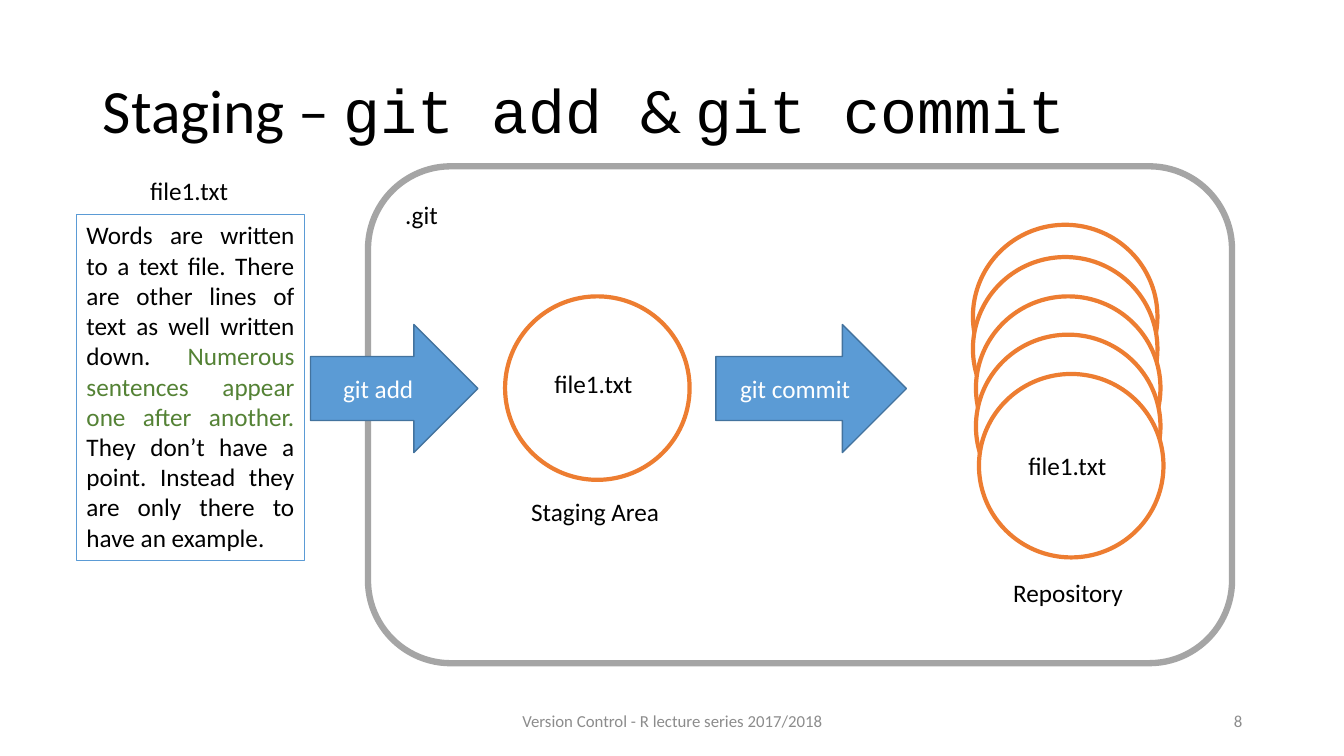
from dataclasses import dataclass

from lxml import etree
from pptx import Presentation, util as u
from pptx.dml.color import RGBColor
from pptx.enum import shapes, text


@dataclass(frozen=True)
class Theme:
    black: str = "000000"
    white: str = "FFFFFF"
    gray: str = "A5A5A5"
    muted: str = "8C8C8C"
    blue: str = "5B9BD5"
    dark_blue: str = "43739E"
    orange: str = "ED7D31"
    green: str = "548235"
    sans: str = "Calibri"
    mono: str = "Courier New"
    title: int = 44
    body: int = 18
    small: int = 12


theme = Theme()
kinds = shapes.MSO_SHAPE
aligns = text.PP_ALIGN
anchors = text.MSO_ANCHOR

TITLE = [("Staging – ", theme.sans), ("git add ", theme.mono),
         ("& ", theme.sans), ("git commit", theme.mono)]
FILE_TEXT = [
    ("Words are written to a text file. There are other lines of text as well written down. ", theme.black),
    ("Numerous sentences appear one after another. ", theme.green),
    ("They don’t have a point. Instead they are only there to have an example.", theme.black),
]
ARROWS = [("git add", 3.08, 1.66), ("git commit", 7.1, 1.89)]
STAGED = (5.01, 2.94)
VERSIONS = [(9.65, 2.23), (9.65, 2.55), (9.68, 2.94), (9.68, 3.32), (9.71, 3.71)]
LABELS = [
    (".git", 3.92, 1.93, 0.6),
    ("file1.txt", 1.39, 1.69, 0.98),
    ("file1.txt", 5.4, 3.61, 0.98),
    ("Staging Area", 5.17, 4.87, 1.5),
    ("file1.txt", 10.1, 4.42, 0.98),
    ("Repository", 9.95, 5.68, 1.35),
]
FOOTERS = [("Version Control - R lecture series 2017/2018", 4.42, 4.5, aligns.CENTER),
           ("8", 9.42, 3, aligns.RIGHT)]

deck = Presentation()
deck.slide_width, deck.slide_height = u.Inches(13.33), u.Inches(7.5)
page = deck.slides.add_slide(deck.slide_layouts[5])


def write(box, spans, size=theme.body, align=aligns.LEFT, anchor=anchors.TOP, wrap=True):
    frame = box.text_frame
    frame.word_wrap = wrap
    frame.auto_size = text.MSO_AUTO_SIZE.NONE
    frame.vertical_anchor = anchor
    para = frame.paragraphs[0]
    para.alignment = align
    for words, font, color in spans:
        span = para.add_run()
        span.text = words
        span.font.name = font
        span.font.size = u.Pt(size)
        span.font.color.rgb = RGBColor.from_string(color)
    return para


def add_shape(kind, place, line, width, fill=theme.white):
    shape = page.shapes.add_shape(kind, *map(u.Inches, place))
    shape.shadow.inherit = False
    shape.fill.solid()
    shape.fill.fore_color.rgb = RGBColor.from_string(fill)
    shape.line.color.rgb = RGBColor.from_string(line)
    shape.line.width = u.Pt(width)
    return shape


def add_label(words, place, color=theme.black, **style):
    box = page.shapes.add_textbox(*map(u.Inches, place))
    write(box, [(words, theme.sans, color)], **style)


title = page.shapes.title
title.left, title.top, title.width, title.height = map(u.Inches, (0.92, 0.4, 11.5, 1.45))
heading = write(title, [(words, font, theme.black) for words, font in TITLE],
                size=theme.title, anchor=anchors.MIDDLE)
heading.line_spacing = 0.9

add_shape(kinds.ROUNDED_RECTANGLE, (3.65, 1.65, 8.57, 4.93), theme.gray, 4.5)
file_box = add_shape(kinds.RECTANGLE, (0.76, 2.13, 2.26, 3.43), theme.blue, 1)
write(file_box, [(words, theme.sans, color) for words, color in FILE_TEXT], align=aligns.JUSTIFY)

for command, left, width in ARROWS:
    arrow = add_shape(kinds.RIGHT_ARROW, (left, 3.22, width, 1.27), theme.dark_blue, 1, theme.blue)
    write(arrow, [(command, theme.sans, theme.white)], align=aligns.CENTER, anchor=anchors.MIDDLE)

for left, top in [STAGED] + VERSIONS:
    add_shape(kinds.OVAL, (left, top, 1.83, 1.82), theme.orange, 3)

for words, left, top, width in LABELS:
    add_label(words, (left, top, width, 0.4), wrap=False)

for words, left, width, align in FOOTERS:
    add_label(words, (left, 6.95, width, 0.4), theme.muted,
              size=theme.small, align=align, anchor=anchors.MIDDLE)

deck.save("out.pptx")
